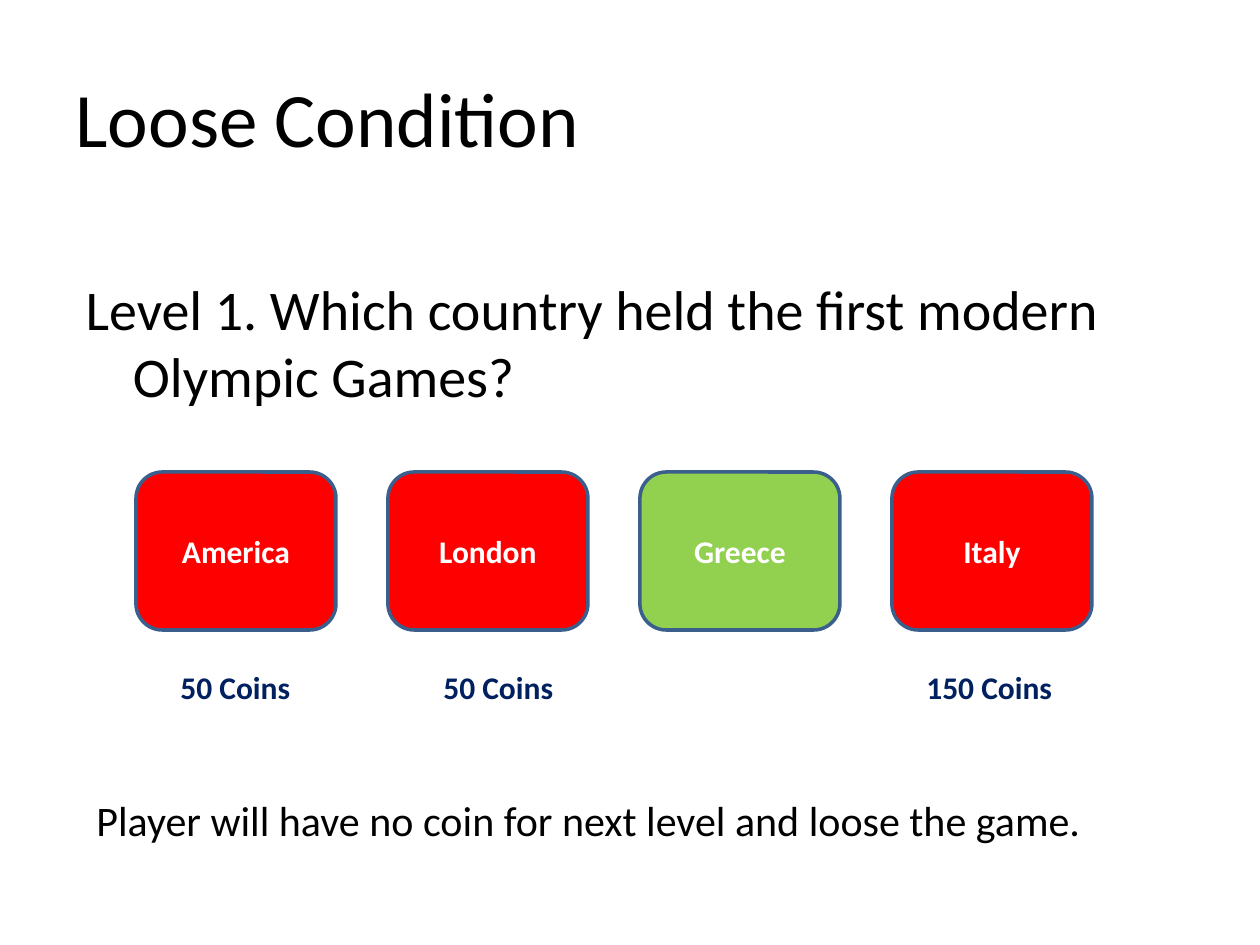
from pptx import Presentation
from pptx.dml.color import RGBColor
from pptx.enum.shapes import MSO_SHAPE as Shape
from pptx.enum.text import MSO_ANCHOR as Anchor, MSO_AUTO_SIZE as Fit, PP_ALIGN as Align
from pptx.util import Pt
from lxml.etree import SubElement

# Content
TITLE = "Loose Condition"
QUERY = "Level 1. Which country held the first modern Olympic Games?"
RESULT = "Player will have no coin for next level and loose the game."
WRONG, RIGHT = "FF0000", "92D050"
ANSWERS = [("America", WRONG), ("London", WRONG), ("Greece", RIGHT), ("Italy", WRONG)]
COINS = [("50 Coins", 168, 136), ("50 Coins", 431, 136), ("150 Coins", 914, 179)]

# Layout in pixels
PX = 914400 // 126
LEFT, TOP, WIDE, HIGH, STEP = 136, 472, 200, 158, 252


def color(code):
    return RGBColor.from_string(code)


def box(*sides):
    return [round(side * PX) for side in sides]


def place(shape, *sides):
    shape.left, shape.top, shape.width, shape.height = box(*sides)


def write(shape, text, size, code="000000", bold=False, align=Align.LEFT):
    frame = shape.text_frame
    frame.word_wrap = True
    frame.text = text
    para = frame.paragraphs[0]
    para.alignment = align
    font = para.font
    font.name, font.size, font.bold = "Calibri", Pt(size), bold
    font.color.rgb = color(code)
    return para


def label(text, sides, size, code="000000", bold=False):
    note = slide.shapes.add_textbox(*box(*sides))
    write(note, text, size, code, bold)
    note.text_frame.auto_size = Fit.SHAPE_TO_FIT_TEXT


deck = Presentation()
deck.slide_width, deck.slide_height = box(1260, 945)
slide = deck.slides.add_slide(deck.slide_layouts[1])

# Title and question
title, body = slide.placeholders
place(title, 63, 38, 1134, 157)
write(title, TITLE, 44)
place(body, 73, 268, 1134, 624)
para = write(body, QUERY, 32)
props = para._p.get_or_add_pPr()
SubElement(props, "{http://schemas.openxmlformats.org/drawingml/2006/main}buNone")

# Answer tiles
for i, (name, fill) in enumerate(ANSWERS):
    tile = slide.shapes.add_shape(
        Shape.ROUNDED_RECTANGLE, *box(LEFT + i * STEP, TOP, WIDE, HIGH))
    tile.shadow.inherit = False
    tile.fill.solid()
    tile.fill.fore_color.rgb = color(fill)
    tile.line.color.rgb = color("3A5F8C")
    tile.line.width = Pt(2)
    write(tile, name, 18, "FFFFFF", True, Align.CENTER)
    tile.text_frame.vertical_anchor = Anchor.MIDDLE

# Coins and outcome
for text, left, wide in COINS:
    label(text, (left, 662, wide, 51), 18, "002060", True)
label(RESULT, (84, 788, 1061, 63), 24)

deck.save("out.pptx")
